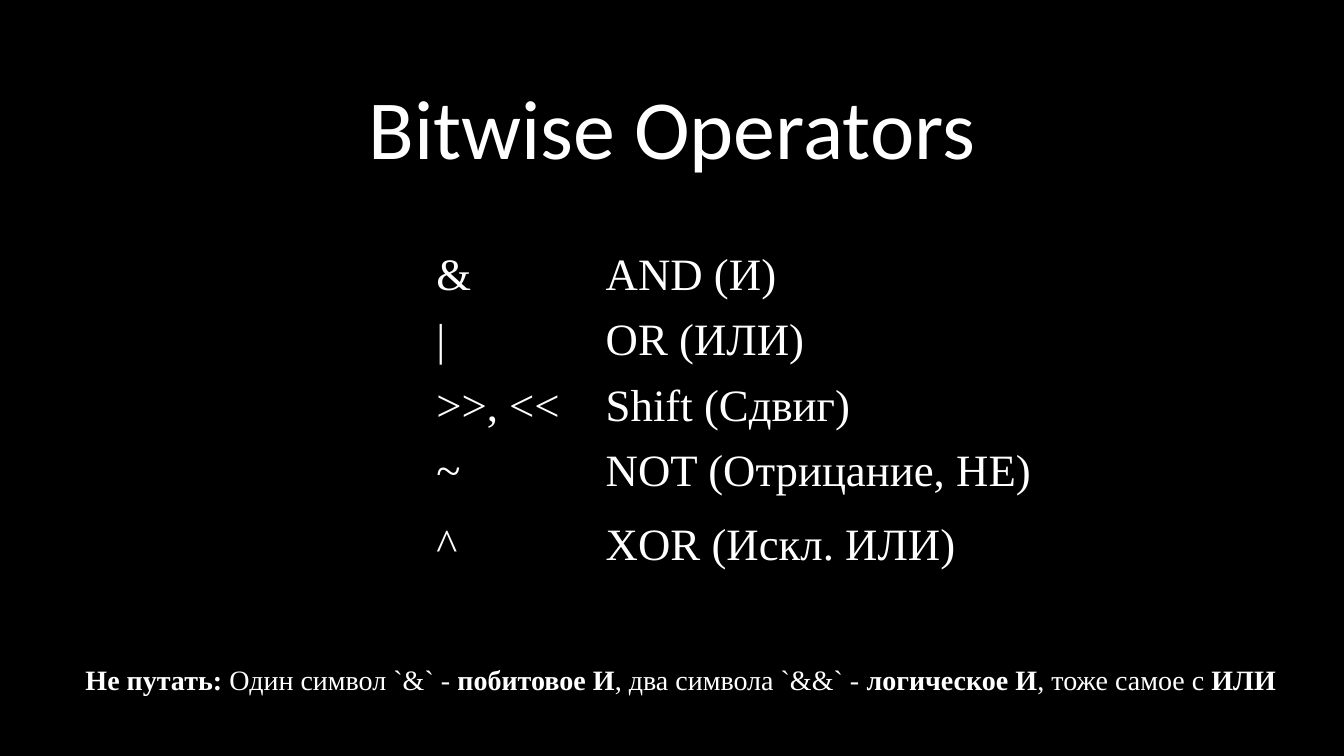
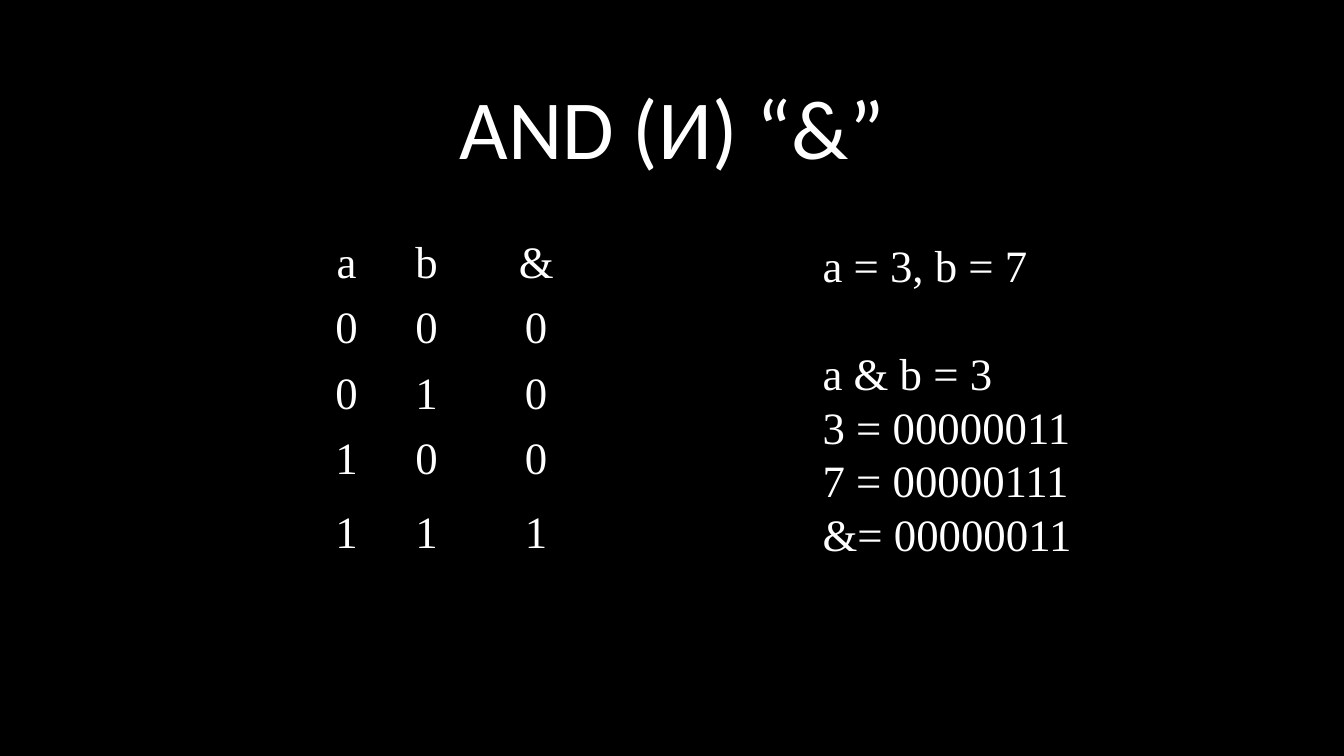
import pptx
import pptx.util
import pptx.dml.color
import pptx.enum.text
from pptx.oxml.ns import qn

Pt = pptx.util.Pt
Align = pptx.enum.text.PP_ALIGN

BLACK = pptx.dml.color.RGBColor(0x00, 0x00, 0x00)
WHITE = pptx.dml.color.RGBColor(0xFF, 0xFF, 0xFF)
TITLE_FONT = "Calibri"
TEXT_FONT = "Times New Roman"
TEXT_SIZE = 32
NOTE_SIZE = 20
LINE_RATIO = 1.2
ROW_HEIGHTS = (46.8, 46.8, 46.8, 52.6, 46.8)
NO_STYLE_NO_GRID = "{2D5ABB26-0587-4C30-8999-92F81FD0307C}"

OPERATORS = [
    ("&", "AND (И)"),
    ("|", "OR (ИЛИ)"),
    (">>, <<", "Shift (Сдвиг)"),
    ("~", "NOT (Отрицание, НЕ)"),
    ("^", "XOR (Искл. ИЛИ)"),
]
# Plain and bold spans alternate, starting with bold.
NOTE_SPANS = [
    "Не путать: ",
    "Один символ `&` - ",
    "побитовое И",
    ", два символа `&&` - ",
    "логическое И",
    ", тоже самое с ",
    "ИЛИ",
]
AND_TABLE = [("a", "b", "&")] + [
    (str(a), str(b), str(a & b)) for a in (0, 1) for b in (0, 1)
]
EXAMPLE_GIVEN = "a = 3, b = 7"
EXAMPLE_STEPS = ["a & b = 3", "3 = 00000011", "7 = 00000111", "&= 00000011"]


def style(para, size, font=TEXT_FONT, align=Align.LEFT):
    para.alignment = align
    para.font.name = font
    para.font.size = Pt(size)
    para.font.color.rgb = WHITE


def prepare_deck():
    """Return a black widescreen deck and its title layout."""
    deck = pptx.Presentation()
    deck.slide_width, deck.slide_height = Pt(960), Pt(540)
    background = deck.slide_master.background.fill
    background.solid()
    background.fore_color.rgb = BLACK
    layout = deck.slide_layouts.get_by_name("Title Only")
    title = layout.placeholders[0]
    title.left, title.top = Pt(125), Pt(39)
    title.width, title.height = Pt(710), Pt(91.5)
    return deck, layout


def add_page(deck, layout, heading):
    page = deck.slides.add_slide(layout)
    frame = page.shapes.title.text_frame
    frame.text = heading
    frame.vertical_anchor = pptx.enum.text.MSO_ANCHOR.BOTTOM
    frame.auto_size = pptx.enum.text.MSO_AUTO_SIZE.NONE
    para = frame.paragraphs[0]
    para.line_spacing = 0.9
    style(para, 60, TITLE_FONT, Align.CENTER)
    return page


def add_plain_table(page, left, top, widths, rows, align):
    table = page.shapes.add_table(
        len(rows), len(widths), Pt(left), Pt(top), Pt(sum(widths)), Pt(sum(ROW_HEIGHTS))
    ).table
    table.first_row = table.horz_banding = False
    table._tbl.tblPr.find(qn("a:tableStyleId")).text = NO_STYLE_NO_GRID
    for column, width in zip(table.columns, widths):
        column.width = Pt(width)
    for row, height, texts in zip(table.rows, ROW_HEIGHTS, rows):
        row.height = Pt(height)
        for cell, text in zip(row.cells, texts):
            cell.fill.background()
            cell.text = text
            style(cell.text_frame.paragraphs[0], TEXT_SIZE, align=align)


def add_text_frame(page, left, top, width, height):
    box = page.shapes.add_textbox(Pt(left), Pt(top), Pt(width), Pt(height))
    box.text_frame.word_wrap = True
    return box.text_frame


def add_note(page, left, top, width, height):
    para = add_text_frame(page, left, top, width, height).paragraphs[0]
    for index, text in enumerate(NOTE_SPANS):
        span = para.add_run()
        span.text = text
        span.font.bold = index % 2 == 0
    para.line_spacing = Pt(NOTE_SIZE * LINE_RATIO)
    style(para, NOTE_SIZE)


def add_example(page, left, top, width, height):
    frame = add_text_frame(page, left, top, width, height)
    frame.text = "\n".join([EXAMPLE_GIVEN] + EXAMPLE_STEPS)
    line = Pt(TEXT_SIZE * LINE_RATIO)
    for para in frame.paragraphs:
        para.line_spacing = line
        style(para, TEXT_SIZE)
    frame.paragraphs[1].space_before = line


def main():
    deck, layout = prepare_deck()

    page = add_page(deck, layout, "Bitwise Operators")
    add_plain_table(page, 304.5, 175, (121, 330), OPERATORS, Align.LEFT)
    add_note(page, 54, 469.5, 870, 31.5)

    page = add_page(deck, layout, "AND (И) “&”")
    add_example(page, 580.5, 166.5, 202.5, 240)
    add_plain_table(page, 220.5, 166.5, (54, 60.5, 96), AND_TABLE, Align.CENTER)

    deck.save("out.pptx")


if __name__ == "__main__":
    main()
